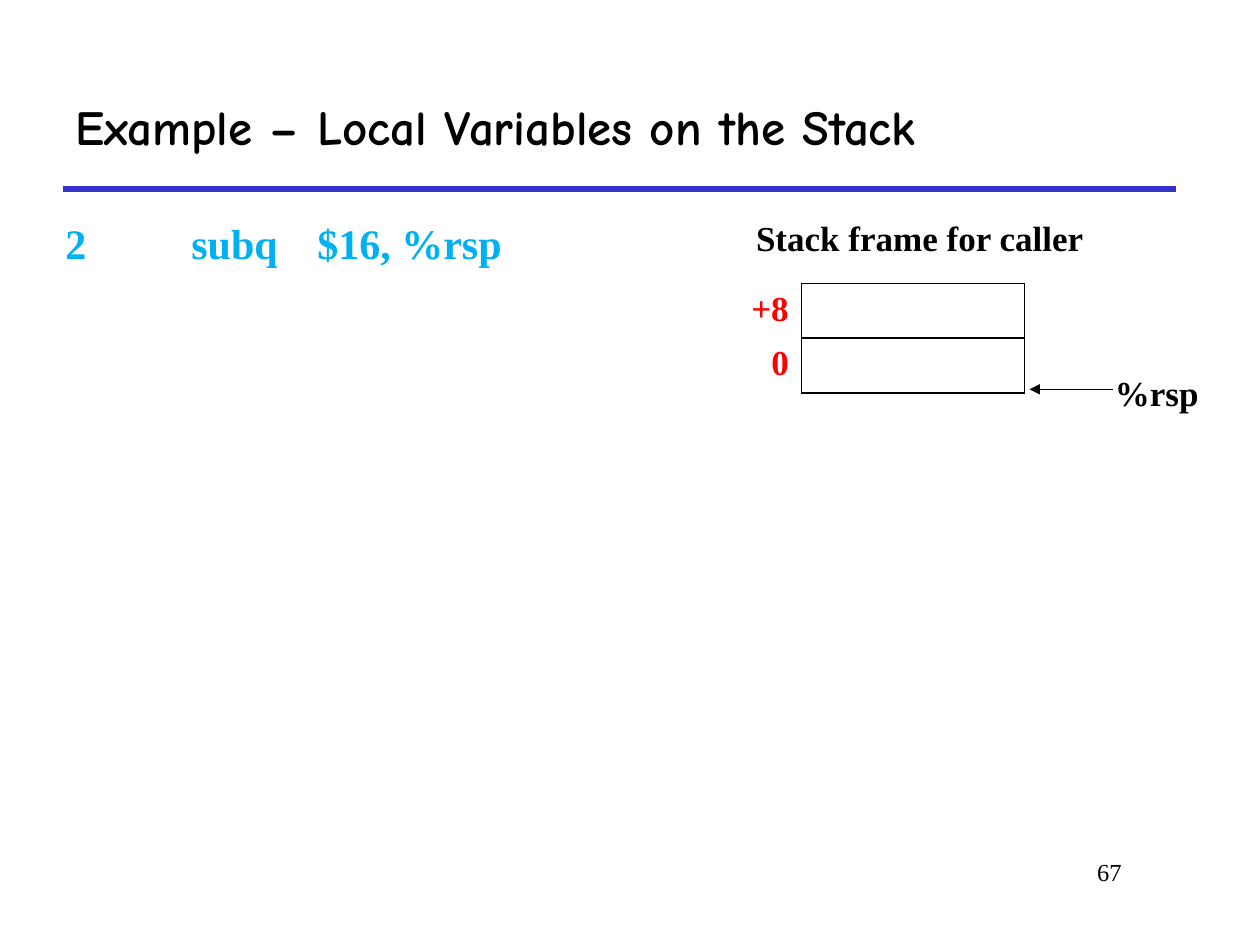
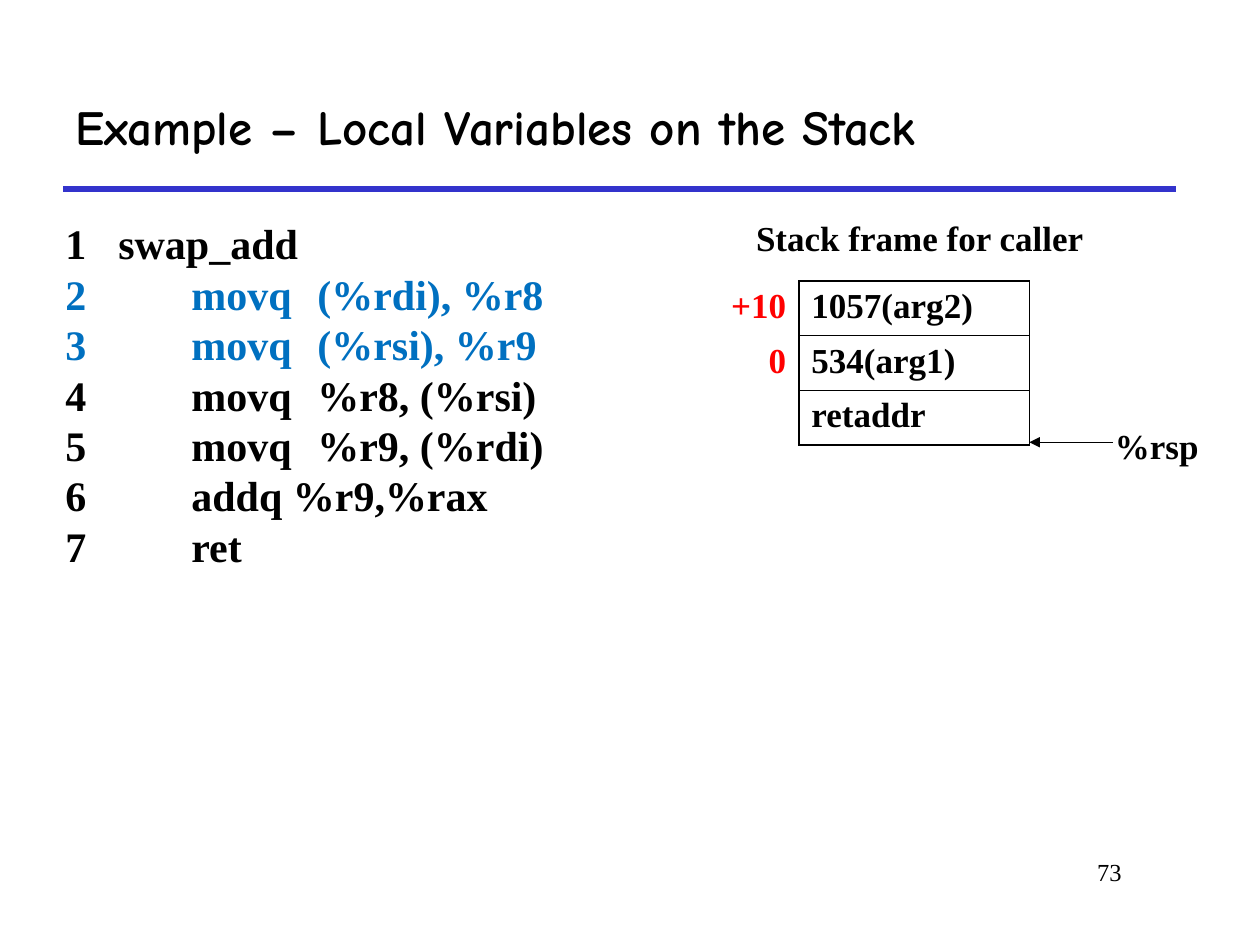
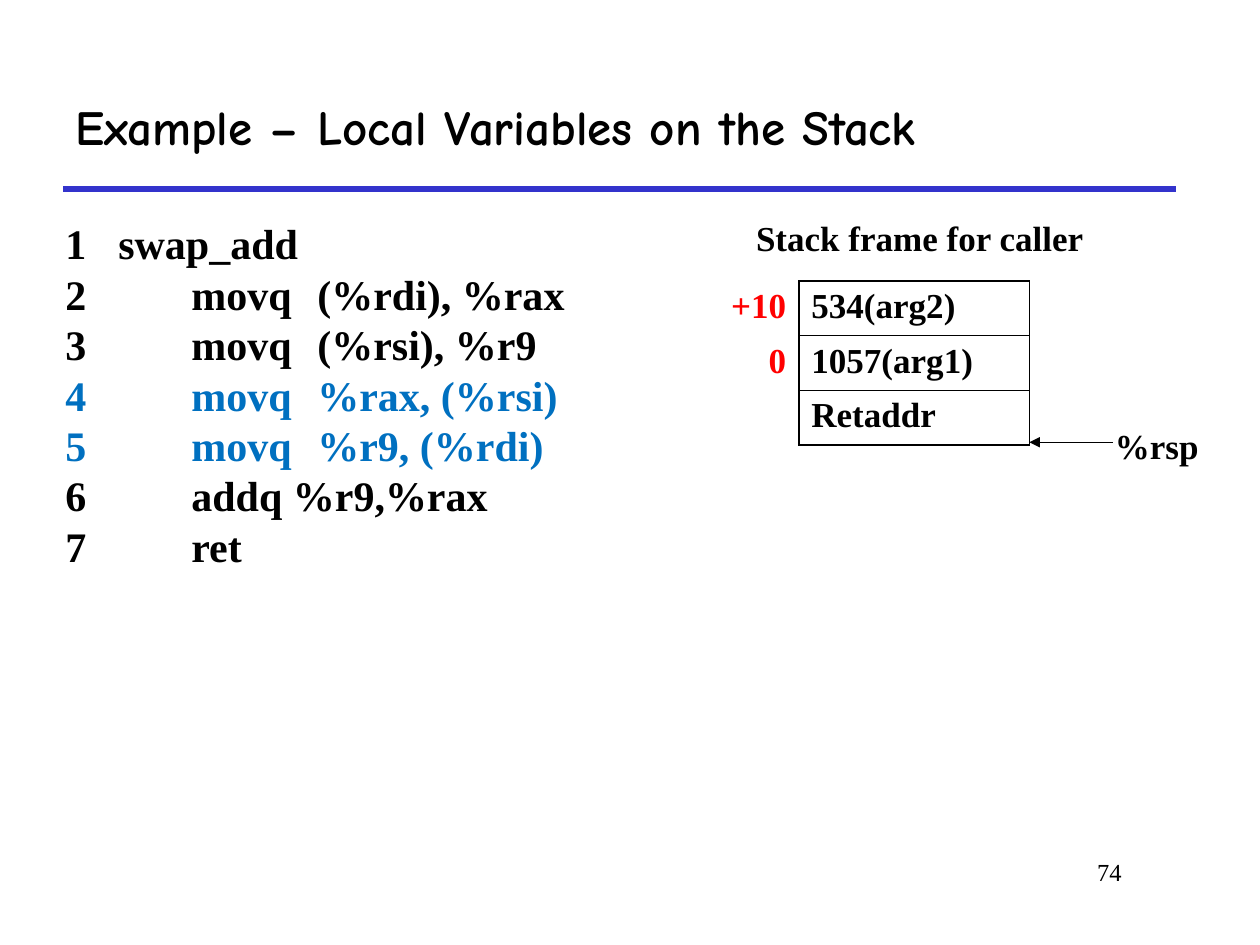
from lxml.etree import SubElement
from pptx import Presentation
from pptx.dml.color import RGBColor
from pptx.enum.shapes import MSO_CONNECTOR
from pptx.enum.text import MSO_ANCHOR, PP_ALIGN
from pptx.oxml.ns import qn
from pptx.util import Pt

PX = 9144  # 100 px to the inch
BODY_FONT = "Times New Roman"
TITLE_FONT = "Comic Neue"
COLORS = {
    "black": "000000",
    "rule": "3333CC",
    "offset": "FF0000",
    "sky": "00B0F0",
    "blue": "0070C0",
}
TITLE = "Example – Local Variables on the Stack"
ROW_HEIGHT = 43
LABEL_TABS = (42,)
INSTRUCTION_TABS = (100, 200)


def color(name):
    return RGBColor.from_string(COLORS[name])


class StackDeck:
    def __init__(self):
        self.deck = Presentation()
        self.deck.slide_width = 1000 * PX
        self.deck.slide_height = 750 * PX
        self.page = None

    def add_page(self, number):
        """Start a slide with the shared rule, page number and title."""
        self.page = self.deck.slides.add_slide(self.deck.slide_layouts[6])
        self.line(50, 150, 933, 150, "rule", 3)
        self.text(758, 675, 142, 50, str(number), 14, bold=False, align=PP_ALIGN.RIGHT)
        title = self.text(50, 50, 883, 100, TITLE, 28, font=TITLE_FONT)
        title.vertical_anchor = MSO_ANCHOR.MIDDLE

    def style(self, paragraph, size, ink="black", font=BODY_FONT, bold=True):
        for span in paragraph.runs:
            span.font.name = font
            span.font.size = Pt(size)
            span.font.bold = bold
            span.font.color.rgb = color(ink)

    def text(self, left, top, width, height, words, size,
             font=BODY_FONT, bold=True, align=PP_ALIGN.LEFT, wrap=True):
        box = self.page.shapes.add_textbox(left * PX, top * PX, width * PX, height * PX)
        frame = box.text_frame
        frame.word_wrap = wrap
        frame.text = words
        for paragraph in frame.paragraphs:
            paragraph.alignment = align
            self.style(paragraph, size, font=font, bold=bold)
        return frame

    def line(self, x1, y1, x2, y2, ink, weight, arrow=False):
        connector = self.page.shapes.add_connector(
            MSO_CONNECTOR.STRAIGHT, x1 * PX, y1 * PX, x2 * PX, y2 * PX)
        connector.line.color.rgb = color(ink)
        connector.line.width = Pt(weight)
        properties = connector.element.spPr
        if arrow:
            SubElement(properties.find(qn("a:ln")), qn("a:tailEnd"), type="triangle")
        SubElement(properties, qn("a:effectLst"))

    def code(self, lines, height, highlight, ink):
        """Numbered listing; the lines numbered in highlight take the ink."""
        frame = self.text(42, 168, 575, height, "\n".join(lines), 24)
        for paragraph in frame.paragraphs:
            number, first, *_ = paragraph.text.split("\t")
            tabs = SubElement(paragraph._p.get_or_add_pPr(), qn("a:tabLst"))
            for stop in LABEL_TABS if first == "swap_add" else INSTRUCTION_TABS:
                SubElement(tabs, qn("a:tab"), pos=str(stop * PX), algn="l")
            if number in highlight:
                self.style(paragraph, 24, ink)

    def borders(self, cell, sides):
        properties = cell._tc.get_or_add_tcPr()
        for side in "LRTB":
            edge = SubElement(properties, qn("a:ln" + side), w=str(Pt(1)))
            if side in sides:
                fill = SubElement(edge, qn("a:solidFill"))
                SubElement(fill, qn("a:srgbClr"), val=COLORS["black"])
            else:
                SubElement(edge, qn("a:noFill"))
        cell.fill.background()

    def stack(self, left, top, widths, rows):
        """Stack slots: red offsets beside framed values."""
        table = self.page.shapes.add_table(
            len(rows), 2, left * PX, top * PX,
            sum(widths) * PX, len(rows) * ROW_HEIGHT * PX).table
        table.first_row = table.horz_banding = False
        for column, width in zip(table.columns, widths):
            column.width = width * PX
        looks = [("offset", PP_ALIGN.RIGHT, "R"), ("black", PP_ALIGN.LEFT, "LRTB")]
        for r, row in enumerate(rows):
            for c, (ink, align, sides) in enumerate(looks):
                cell = table.cell(r, c)
                cell.text = row[c]
                paragraph = cell.text_frame.paragraphs[0]
                paragraph.alignment = align
                self.style(paragraph, 20, ink)
                self.borders(cell, sides)

    def frame_label(self):
        self.text(583, 167, 294, 43, "Stack frame for caller", 20, align=PP_ALIGN.CENTER)

    def pointer(self, y):
        """Register name with an arrow to the top of the stack."""
        self.text(875, y - 19, 87, 44, "%rsp", 20, wrap=False)
        self.line(883, y, 817, y, "black", 0.75, arrow=True)


def swap_code(register):
    return [
        "1\tswap_add",
        f"2\tmovq\t(%rdi), {register}",
        "3\tmovq\t(%rsi), %r9",
        f"4\tmovq\t{register}, (%rsi)",
        "5\tmovq\t%r9, (%rdi)",
        "6\taddq %r9,%rax",
        "7\tret",
    ]


def main():
    show = StackDeck()

    # Space reserved for the local variables
    show.add_page(67)
    show.stack(575, 225, (61, 177), [("+8", ""), ("0", "")])
    show.frame_label()
    show.code(["2\tsubq\t$16, %rsp"], 51, "2", "sky")
    show.pointer(309)

    # Values loaded, then swapped
    steps = [
        (73, "%r8", "23", ("1057(arg2)", "534(arg1)", "retaddr")),
        (74, "%rax", "45", ("534(arg2)", "1057(arg1)", "Retaddr")),
    ]
    for number, register, highlight, values in steps:
        show.add_page(number)
        show.stack(566, 223, (68, 183), list(zip(("+10", "0", ""), values)))
        show.frame_label()
        show.code(swap_code(register), 293, highlight, "blue")
        show.pointer(351)

    show.deck.save("out.pptx")


if __name__ == "__main__":
    main()
